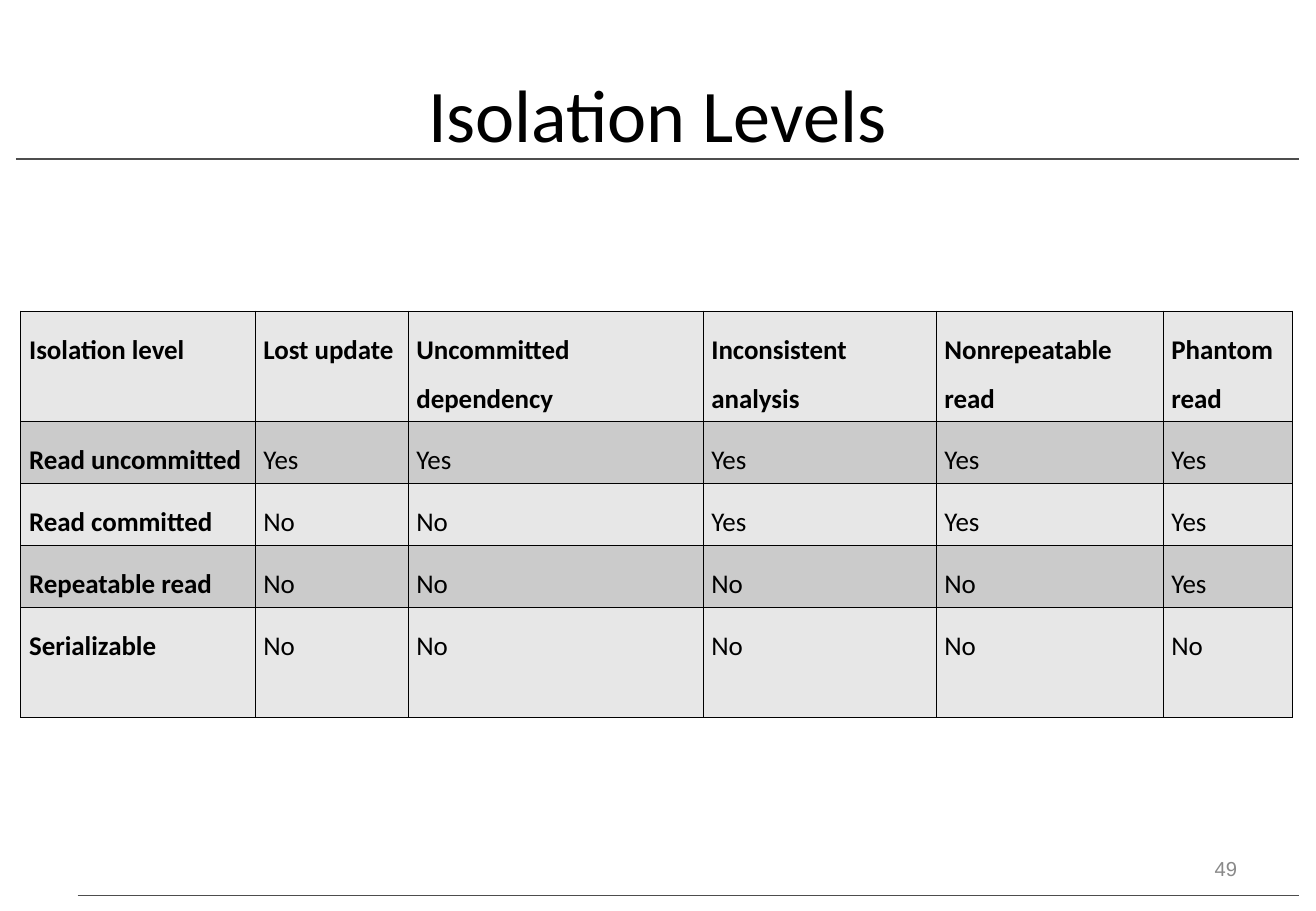
from lxml import etree
from pptx import Presentation
from pptx.dml.color import RGBColor
from pptx.enum.shapes import MSO_CONNECTOR
from pptx.enum.text import MSO_ANCHOR, PP_ALIGN
from pptx.oxml.ns import qn
from pptx.util import Inches, Pt

STRAIGHT = MSO_CONNECTOR.STRAIGHT
MIDDLE, TOP = MSO_ANCHOR.MIDDLE, MSO_ANCHOR.TOP
LEFT, CENTER, RIGHT = PP_ALIGN.LEFT, PP_ALIGN.CENTER, PP_ALIGN.RIGHT

# Content
TITLE = "Isolation Levels"
PAGE_NUMBER = "49"
LEVELS = [
    ("Isolation level", "Lost update", "Uncommitted dependency",
     "Inconsistent analysis", "Nonrepeatable read", "Phantom read"),
    ("Read uncommitted", "Yes", "Yes", "Yes", "Yes", "Yes"),
    ("Read committed", "No", "No", "Yes", "Yes", "Yes"),
    ("Repeatable read", "No", "No", "No", "No", "Yes"),
    ("Serializable", "No", "No", "No", "No", "No"),
]

# Layout in inches
WIDTH, HEIGHT = 10.84, 7.5
TABLE_LEFT, TABLE_TOP = 0.17, 2.56
COLUMNS = [1.93, 1.26, 2.43, 1.92, 1.87, 1.07]
TALL, SHORT = 0.91, 0.51
ROWS = [TALL, SHORT, SHORT, SHORT, TALL]
RULE_RIGHT = 10.7
RULES = [(0.13, 1.31, 1), (0.64, 7.37, 0.75)]  # left, top, weight

# Colours
BLACK, RULE_GREY, NUMBER_GREY = "000000", "4D4D4D", "898989"
BANDS = ["E7E7E7", "CBCBCB"]


def color(value):
    return RGBColor.from_string(value)


def write(frame, text, size, font, ink, align, bold=False):
    frame.word_wrap = True
    para = frame.paragraphs[0]
    para.alignment = align
    span = para.add_run()
    span.text = text
    span.font.size, span.font.name, span.font.bold = Pt(size), font, bold
    span.font.color.rgb = color(ink)
    return para


def add_text(page, left, top, width, height, *style):
    box = page.shapes.add_textbox(*map(Inches, (left, top, width, height)))
    box.text_frame.vertical_anchor = MIDDLE
    write(box.text_frame, *style)


def add_rule(page, left, top, weight):
    rule = page.shapes.add_connector(
        STRAIGHT, Inches(left), Inches(top), Inches(RULE_RIGHT), Inches(top))
    rule.line.color.rgb = color(RULE_GREY)
    rule.line.width = Pt(weight)
    etree.SubElement(rule._element.spPr, qn("a:effectLst"))


def add_borders(cell):
    properties = cell._tc.get_or_add_tcPr()
    for index, side in enumerate(("a:lnL", "a:lnR", "a:lnT", "a:lnB")):
        edge = etree.Element(qn(side), w=str(Pt(0.45)))
        fill = etree.SubElement(edge, qn("a:solidFill"))
        etree.SubElement(fill, qn("a:srgbClr"), val=BLACK)
        properties.insert(index, edge)


def add_levels(page):
    table = page.shapes.add_table(
        len(ROWS), len(COLUMNS), Inches(TABLE_LEFT), Inches(TABLE_TOP),
        Inches(sum(COLUMNS)), Inches(sum(ROWS))).table
    for column, width in zip(table.columns, COLUMNS):
        column.width = Inches(width)
    for r, (height, texts) in enumerate(zip(ROWS, LEVELS)):
        table.rows[r].height = Inches(height)
        for c, text in enumerate(texts):
            cell = table.cell(r, c)
            cell.margin_left = cell.margin_right = Inches(0.07)
            cell.margin_top = cell.margin_bottom = Inches(0.05)
            cell.vertical_anchor = TOP
            cell.fill.solid()
            cell.fill.fore_color.rgb = color(BANDS[r % 2])
            add_borders(cell)
            heading = r == 0 or c == 0
            para = write(cell.text_frame, text, 16, "Calibri", BLACK, LEFT, heading)
            para.line_spacing = 1.5


def main():
    deck = Presentation()
    deck.slide_width, deck.slide_height = Inches(WIDTH), Inches(HEIGHT)
    page = deck.slides.add_slide(deck.slide_layouts[6])

    # Rules, title and page number
    for rule in RULES:
        add_rule(page, *rule)
    add_text(page, 0.54, 0.3, 9.75, 1.25, TITLE, 44, "Calibri", BLACK, CENTER)
    add_text(page, 7.76, 6.95, 2.53, 0.4, PAGE_NUMBER, 12, "Arial", NUMBER_GREY, RIGHT)

    # Table of anomalies by isolation level
    add_levels(page)
    deck.save("out.pptx")


if __name__ == "__main__":
    main()
